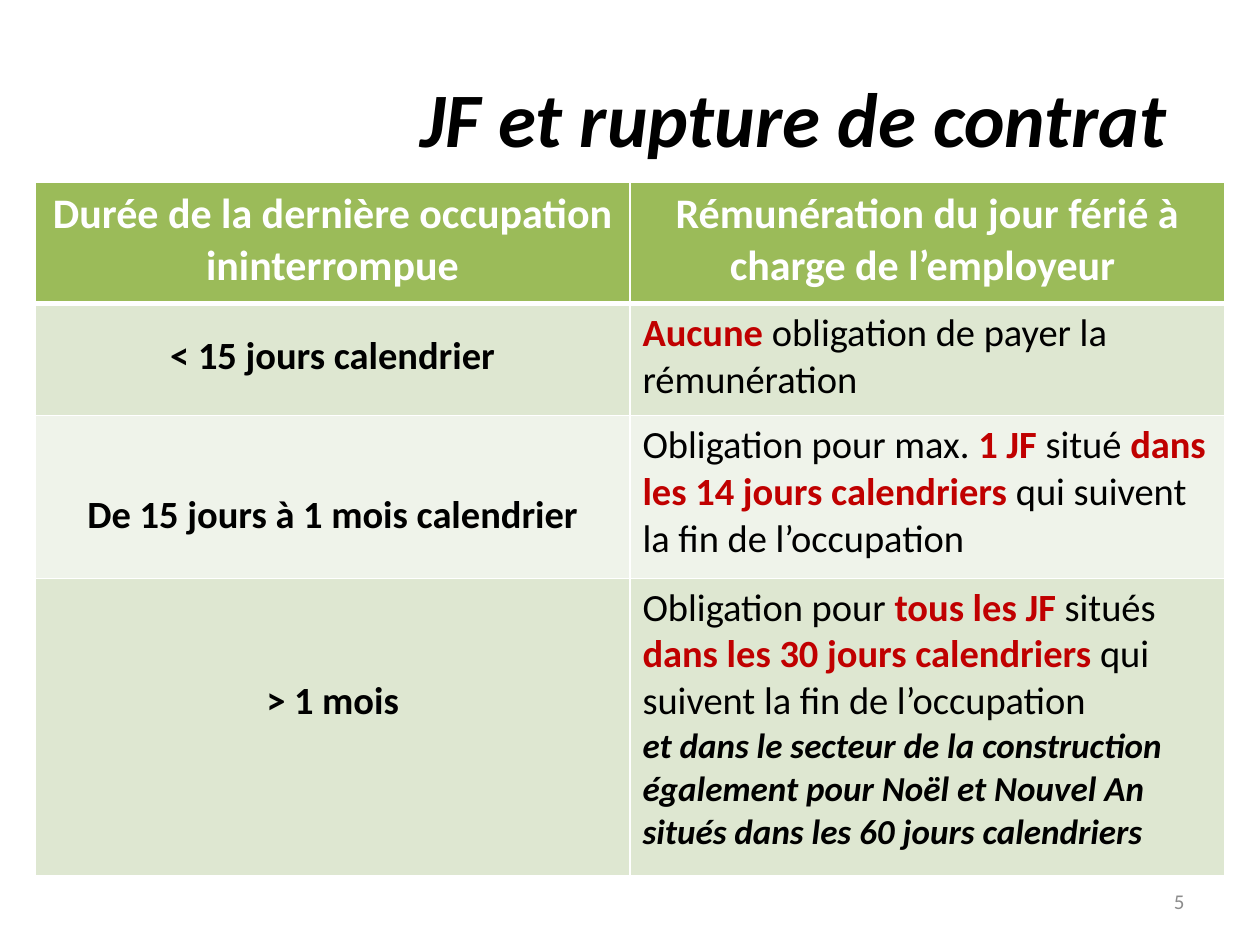
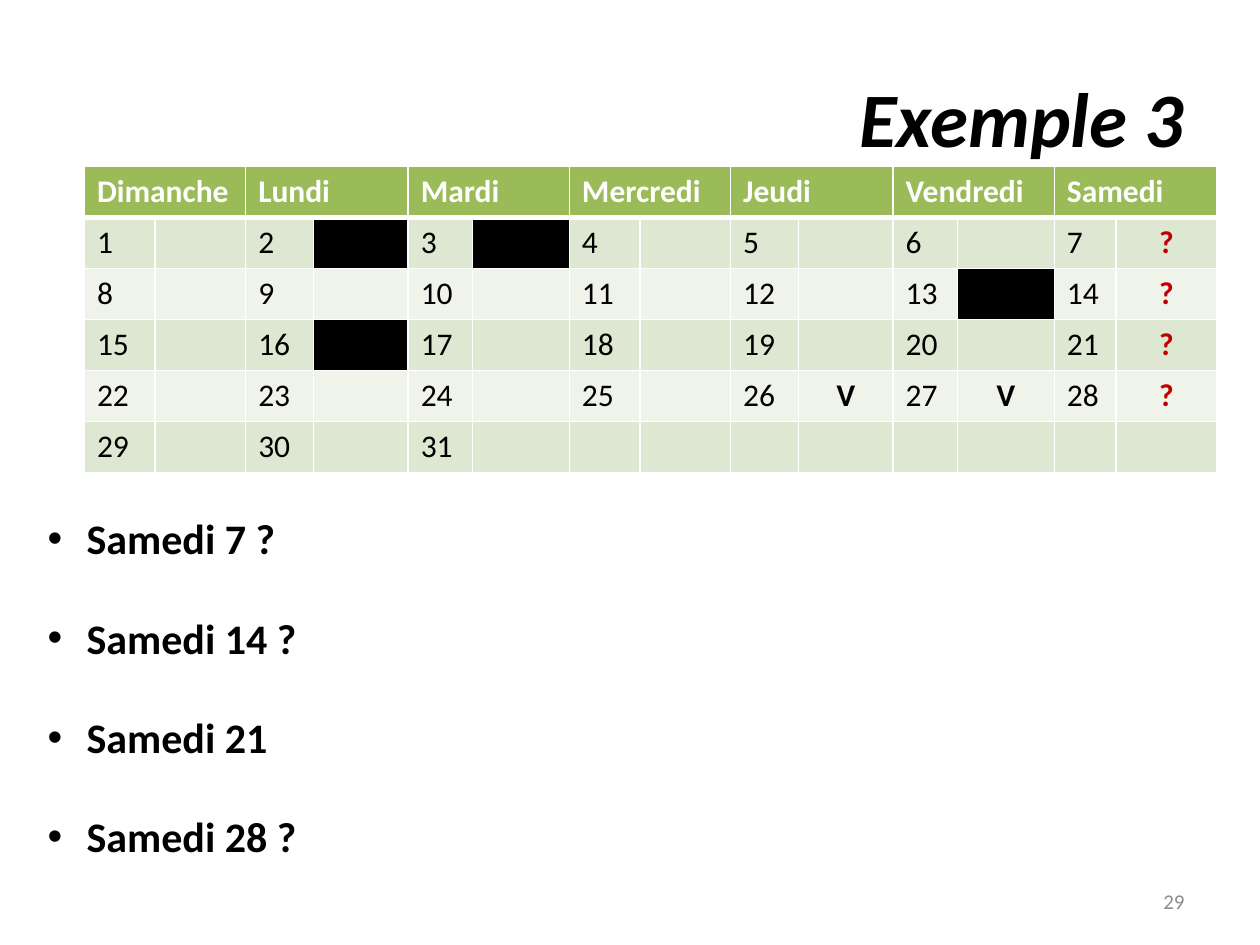
from lxml import etree
from pptx import Presentation
from pptx import util as u
from pptx.dml import color
from pptx.enum import text
from pptx.oxml import ns

FONT = "Calibri"
BLACK, WHITE, RED, GREY = "000000", "FFFFFF", "C00000", "8C8C8C"
HEADER, BANDS = "9BBB59", ("DEE7D1", "EFF3EA")
LEFT, CENTER, RIGHT = text.PP_ALIGN.LEFT, text.PP_ALIGN.CENTER, text.PP_ALIGN.RIGHT


def write(paragraph, content, size, ink=BLACK, bold=False, italic=False, align=LEFT):
    paragraph.alignment = align
    run = paragraph.add_run()
    run.text = content
    run.font.name = FONT
    run.font.size = u.Pt(size)
    run.font.bold = bold
    run.font.italic = italic
    run.font.color.rgb = color.RGBColor.from_string(ink)


def paint(cell, row, fill=None):
    widths = {"L": 1, "R": 1, "T": 3 if row == 1 else 1, "B": 3 if row == 0 else 1}
    properties = cell._tc.get_or_add_tcPr()
    for side, width in widths.items():
        line = etree.SubElement(properties, ns.qn(f"a:ln{side}"), w=str(u.Pt(width)))
        solid = etree.SubElement(line, ns.qn("a:solidFill"))
        etree.SubElement(solid, ns.qn("a:srgbClr"), val=WHITE)
    if fill is None:
        fill = HEADER if row == 0 else BANDS[(row - 1) % 2]
    cell.fill.solid()
    cell.fill.fore_color.rgb = color.RGBColor.from_string(fill)


deck = Presentation()
deck.slide_width, deck.slide_height = u.Inches(10), u.Inches(7.5)

slides = []
for heading, number in (("JF et rupture de contrat ", "5"), ("Exemple 3", "29")):
    slide = deck.slides.add_slide(deck.slide_layouts[5])
    title = slide.shapes.title
    title.left, title.top = u.Inches(0.5), u.Inches(0.3)
    title.width, title.height = u.Inches(9), u.Inches(1.25)
    title.text_frame.vertical_anchor = text.MSO_ANCHOR.MIDDLE
    write(title.text_frame.paragraphs[0], heading, 44, bold=True, italic=True, align=RIGHT)

    footer = slide.shapes.add_textbox(u.Inches(7.17), u.Inches(6.95), u.Inches(2.33), u.Inches(0.4))
    footer.text_frame.word_wrap = True
    footer.text_frame.vertical_anchor = text.MSO_ANCHOR.MIDDLE
    write(footer.text_frame.paragraphs[0], number, 12, ink=GREY, align=RIGHT)
    slides.append(slide)

rules_slide, example_slide = slides

rules = rules_slide.shapes.add_table(
    4, 2, u.Inches(0.28), u.Inches(1.45), u.Inches(9.45), u.Inches(5.5)).table
for column in rules.columns:
    column.width = u.Inches(4.72)
for row, height in zip(rules.rows, (0.96, 0.89, 1.29, 2.36)):
    row.height = u.Inches(height)

column_heads = ("Durée de la dernière occupation ininterrompue",
                "Rémunération du jour férié à charge de l’employeur ")
for column, head in enumerate(column_heads):
    cell = rules.cell(0, column)
    paint(cell, 0)
    write(cell.text_frame.paragraphs[0], head, 24, ink=WHITE, bold=True, align=CENTER)

durations = (
    ("< 15 jours calendrier", 1.5, 0,
     (("Aucune", True), (" obligation de payer la rémunération", False))),
    ("De 15 jours à 1 mois calendrier", 2.5, 0,
     (("Obligation pour max. ", False), ("1 JF ", True), ("situé ", False),
      ("dans les 14 jours calendriers ", True),
      ("qui suivent la fin de l’occupation", False))),
    ("> 1 mois", 3.0, 36,
     (("Obligation pour ", False), ("tous les JF ", True), ("situés ", False),
      ("dans les 30 jours calendriers ", True),
      ("qui suivent la fin de l’occupation", False))),
)
for row, (duration, spacing, after, obligation) in enumerate(durations, 1):
    duration_cell, obligation_cell = rules.cell(row, 0), rules.cell(row, 1)
    paint(duration_cell, row)
    paint(obligation_cell, row)
    paragraph = duration_cell.text_frame.paragraphs[0]
    paragraph.line_spacing = spacing
    paragraph.space_after = u.Pt(after)
    write(paragraph, duration, 22, bold=True, align=CENTER)
    for words, key in obligation:
        write(obligation_cell.text_frame.paragraphs[0], words, 22,
              ink=RED if key else BLACK, bold=key)

write(rules.cell(3, 1).text_frame.add_paragraph(),
      "et dans le secteur de la construction également pour Noël et Nouvel An "
      "situés dans les 60 jours calendriers", 20, bold=True, italic=True)

weekdays = ("Dimanche", "Lundi", "Mardi", "Mercredi", "Jeudi", "Vendredi", "Samedi")
day_widths = (0.56, 0.72, 0.54, 0.75, 0.51, 0.77, 0.56, 0.72, 0.54, 0.75, 0.51, 0.77, 0.49, 0.8)
blacked_days = {2, 3, 13, 16}
marks = {7: "?", 14: "?", 21: "?", 28: "?", 26: "V", 27: "V"}

calendar = example_slide.shapes.add_table(
    6, 14, u.Inches(0.67), u.Inches(1.32), u.Inches(9), u.Inches(2.43)).table
for column, width in zip(calendar.columns, day_widths):
    column.width = u.Inches(width)

for index, weekday in enumerate(weekdays):
    name_cell = calendar.cell(0, 2 * index)
    name_cell.merge(calendar.cell(0, 2 * index + 1))
    paint(name_cell, 0)
    paint(calendar.cell(0, 2 * index + 1), 0)
    write(name_cell.text_frame.paragraphs[0], weekday, 18, ink=WHITE, bold=True)
    for week in range(1, 6):
        day = 7 * (week - 1) + index + 1
        day_cell, mark_cell = calendar.cell(week, 2 * index), calendar.cell(week, 2 * index + 1)
        paint(day_cell, week)
        paint(mark_cell, week, BLACK if day in blacked_days else None)
        if day <= 31:
            write(day_cell.text_frame.paragraphs[0], str(day), 18)
        if day in marks:
            write(mark_cell.text_frame.paragraphs[0], marks[day], 18,
                  ink=RED if marks[day] == "?" else BLACK, bold=True, align=CENTER)

questions = example_slide.shapes.add_textbox(
    u.Inches(0.28), u.Inches(4.02), u.Inches(9.53), u.Inches(3.33)).text_frame
questions.word_wrap = True
for index, question in enumerate(("Samedi 7 ?", "Samedi 14 ?", "Samedi 21", "Samedi 28 ?")):
    paragraph = questions.add_paragraph() if index else questions.paragraphs[0]
    properties = paragraph._p.get_or_add_pPr()
    properties.set("marL", str(u.Inches(0.31)))
    properties.set("indent", str(-u.Inches(0.31)))
    etree.SubElement(properties, ns.qn("a:buFont"), typeface="Arial")
    etree.SubElement(properties, ns.qn("a:buChar"), char="•")
    if index:
        paragraph.space_before = u.Pt(28)
    write(paragraph, question, 24, bold=True)

deck.save("out.pptx")
